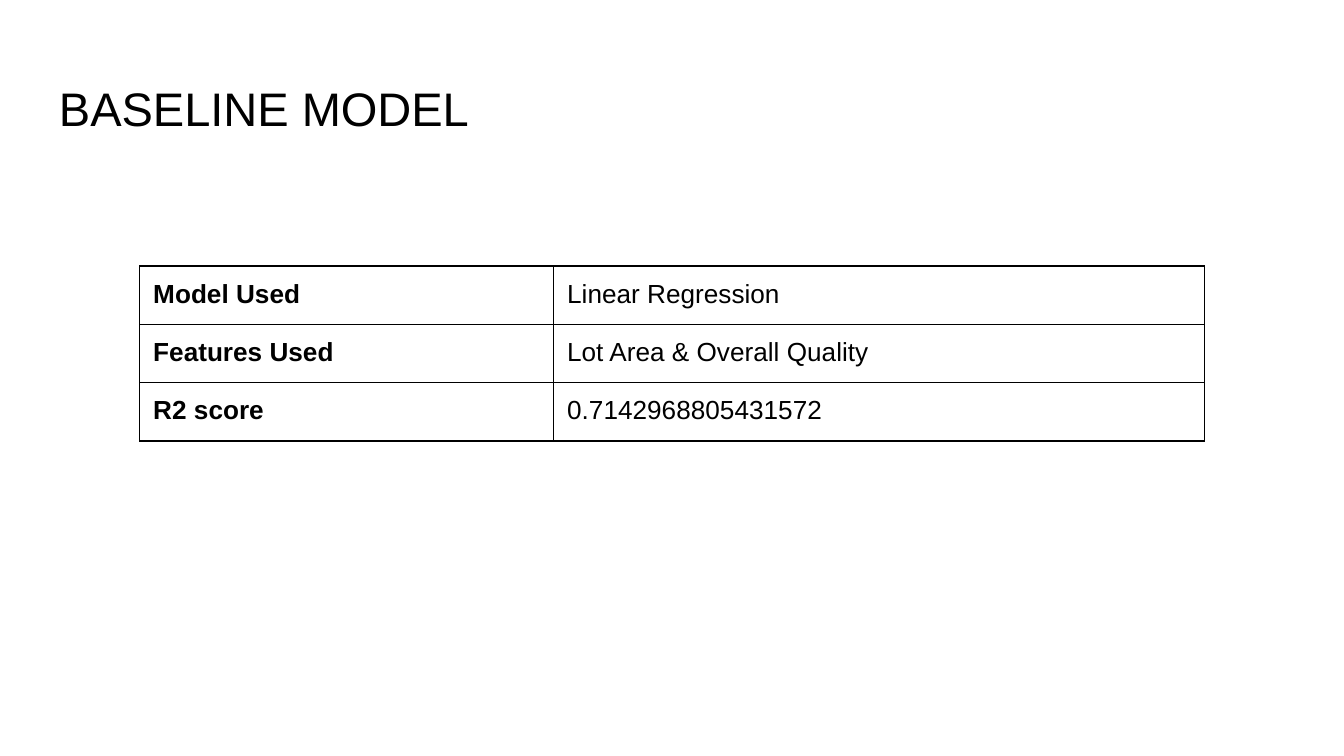
from lxml.etree import SubElement
from pptx import Presentation
from pptx.dml.color import RGBColor
from pptx.oxml.ns import qn
from pptx.util import Inches, Pt

TITLE = "BASELINE MODEL"
ROWS = [
    ("Model Used", "Linear Regression"),
    ("Features Used", "Lot Area & Overall Quality"),
    ("R2 score", "0.7142968805431572"),
]
WIDTHS = (3.08, 4.84)
ROW_H = 0.41
PAD = Inches(0.1)
COLORS = {"ink": "000000"}


def style(frame, size, bold=False):
    font = frame.paragraphs[0].runs[0].font
    font.name = "Arial"
    font.size = Pt(size)
    font.bold = bold
    font.color.rgb = RGBColor.from_string(COLORS["ink"])


def pad(box):
    box.margin_left = box.margin_right = PAD
    box.margin_top = box.margin_bottom = PAD


def border(cell):
    props = cell._tc.get_or_add_tcPr()
    for i, side in enumerate(("lnL", "lnR", "lnT", "lnB")):
        line = props.makeelement(qn(f"a:{side}"), {"w": str(Pt(0.75))})
        fill = SubElement(line, qn("a:solidFill"))
        SubElement(fill, qn("a:srgbClr"), val=COLORS["ink"])
        props.insert(i, line)  # borders must precede the cell fill


deck = Presentation()
deck.slide_width = Inches(10)
deck.slide_height = deck.slide_width * 9 // 16
slide = deck.slides.add_slide(deck.slide_layouts[6])

title = slide.shapes.add_textbox(
    Inches(0.34), Inches(0.49), Inches(9.32), Inches(0.63)
).text_frame
title.word_wrap = True
pad(title)
title.text = TITLE
style(title, 25.2)

table = slide.shapes.add_table(
    len(ROWS), len(WIDTHS), Inches(1.04), Inches(1.98),
    Inches(sum(WIDTHS)), Inches(ROW_H * len(ROWS)),
).table
table.first_row = table.horz_banding = False
for col, width in zip(table.columns, WIDTHS):
    col.width = Inches(width)

for r, row in enumerate(ROWS):
    table.rows[r].height = Inches(ROW_H)
    for c, text in enumerate(row):
        cell = table.cell(r, c)
        cell.text = text
        pad(cell)
        style(cell.text_frame, 14, bold=c == 0)
        cell.fill.background()
        border(cell)

deck.save("out.pptx")
